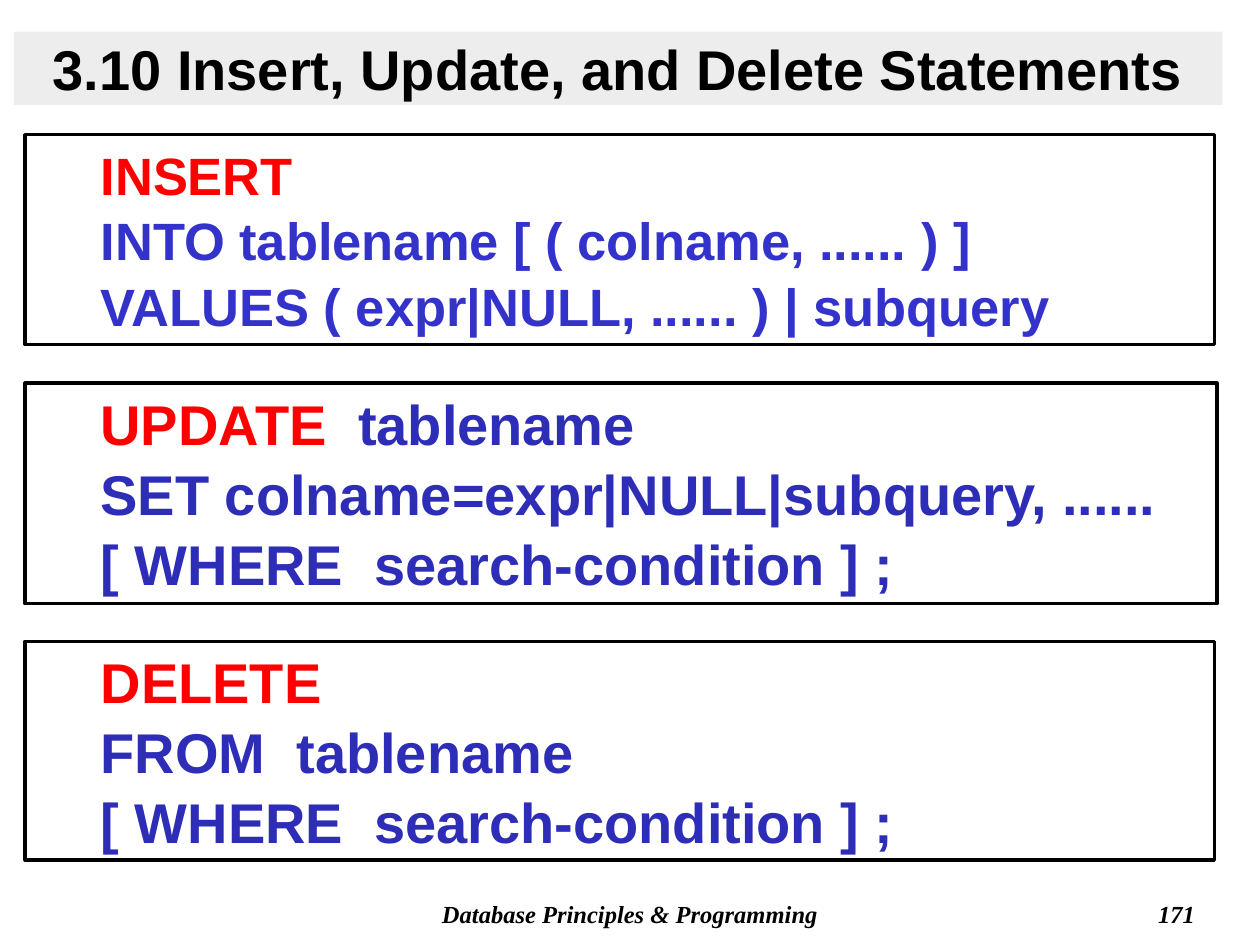
from lxml import etree
from pptx import Presentation
from pptx.dml.color import RGBColor
from pptx.enum import shapes, text
from pptx.oxml import ns
from pptx.util import Pt

BLACK = RGBColor(0x00, 0x00, 0x00)
WHITE = RGBColor(0xFF, 0xFF, 0xFF)
BAND = RGBColor(0xDD, 0xDD, 0xDD)
RED = RGBColor(0xFF, 0x00, 0x00)
BLUE = RGBColor(0x33, 0x33, 0xCC)
DARK_BLUE = RGBColor(0x2D, 0x2D, 0xB7)

HEADING = dict(name="Arial", size=Pt(32), bold=True)
FOOTER = dict(name="Times New Roman", size=Pt(14), bold=True, italic=True)

WHERE = "[ WHERE  search-condition ] ;"
# top, width, height, font size, text colour, hanging indent, lines;
# each line is a (keyword, rest) pair
STATEMENTS = [
    (77, 679.5, 120, 30, BLUE, 22.5, [
        ("INSERT", ""),
        ("", "INTO tablename [ ( colname, ...... ) ]"),
        ("", "VALUES ( expr|NULL, ...... ) | subquery")]),
    (219, 681, 126, 32, DARK_BLUE, 22.5, [
        ("UPDATE  ", "tablename"),
        ("", "SET colname=expr|NULL|subquery, ......"),
        ("", WHERE)]),
    (366.5, 679.5, 125, 32, DARK_BLUE, 18, [
        ("DELETE", ""),
        ("", "FROM  tablename"),
        ("", WHERE)]),
]


def set_format(font, color, values):
    for name, value in values.items():
        setattr(font, name, value)
    font.color.rgb = color


def place(shape, left, top, width, height):
    shape.left, shape.top = Pt(left), Pt(top)
    shape.width, shape.height = Pt(width), Pt(height)


def prepare_frame(shape):
    frame = shape.text_frame
    frame.word_wrap = True
    frame.auto_size = text.MSO_AUTO_SIZE.NONE
    frame.vertical_anchor = text.MSO_ANCHOR.MIDDLE
    return frame


def write_line(shape, content, color, alignment, values):
    paragraph = prepare_frame(shape).paragraphs[0]
    paragraph.alignment = alignment
    run = paragraph.add_run()
    run.text = content
    set_format(run.font, color, values)


def add_title(slide, content):
    title = slide.shapes.title
    place(title, 8, 18, 690.5, 42)
    title.fill.solid()
    title.fill.fore_color.rgb = BAND
    color = title.fill._xPr.find(".//" + ns.qn("a:srgbClr"))
    etree.SubElement(color, ns.qn("a:alpha"), val="50000")
    write_line(title, content, BLACK, text.PP_ALIGN.CENTER, HEADING)


def add_statement(slide, top, width, height, size, color, hanging, lines):
    box = slide.shapes.add_shape(shapes.MSO_SHAPE.RECTANGLE,
                                 Pt(14.4), Pt(top), Pt(width), Pt(height))
    box.shadow.inherit = False
    box.fill.solid()
    box.fill.fore_color.rgb = WHITE
    box.line.color.rgb = BLACK
    box.line.width = Pt(2)
    frame = prepare_frame(box)
    values = {**HEADING, "size": Pt(size)}
    for index, line in enumerate(lines):
        paragraph = frame.add_paragraph() if index else frame.paragraphs[0]
        paragraph.alignment = text.PP_ALIGN.LEFT
        if index:
            paragraph.space_before = Pt(size * 0.05)
        properties = paragraph._p.get_or_add_pPr()
        properties.set("marL", str(Pt(36 + hanging)))
        properties.set("indent", str(-Pt(hanging)))
        for content, run_color in zip(line, (RED, color)):
            if content:
                run = paragraph.add_run()
                run.text = content
                set_format(run.font, run_color, values)


def add_footer(slide, left, width, content, alignment):
    box = slide.shapes.add_textbox(Pt(left), Pt(510), Pt(width), Pt(24))
    write_line(box, content, BLACK, alignment, FOOTER)


def main():
    presentation = Presentation()
    presentation.slide_width, presentation.slide_height = Pt(720), Pt(540)
    slide = presentation.slides.add_slide(presentation.slide_layouts[5])
    add_footer(slide, 204, 312, "Database Principles & Programming",
               text.PP_ALIGN.CENTER)
    add_footer(slide, 540, 150, "171", text.PP_ALIGN.RIGHT)
    add_title(slide, "3.10 Insert, Update, and Delete Statements")
    for statement in STATEMENTS:
        add_statement(slide, *statement)
    presentation.save("out.pptx")


if __name__ == "__main__":
    main()
